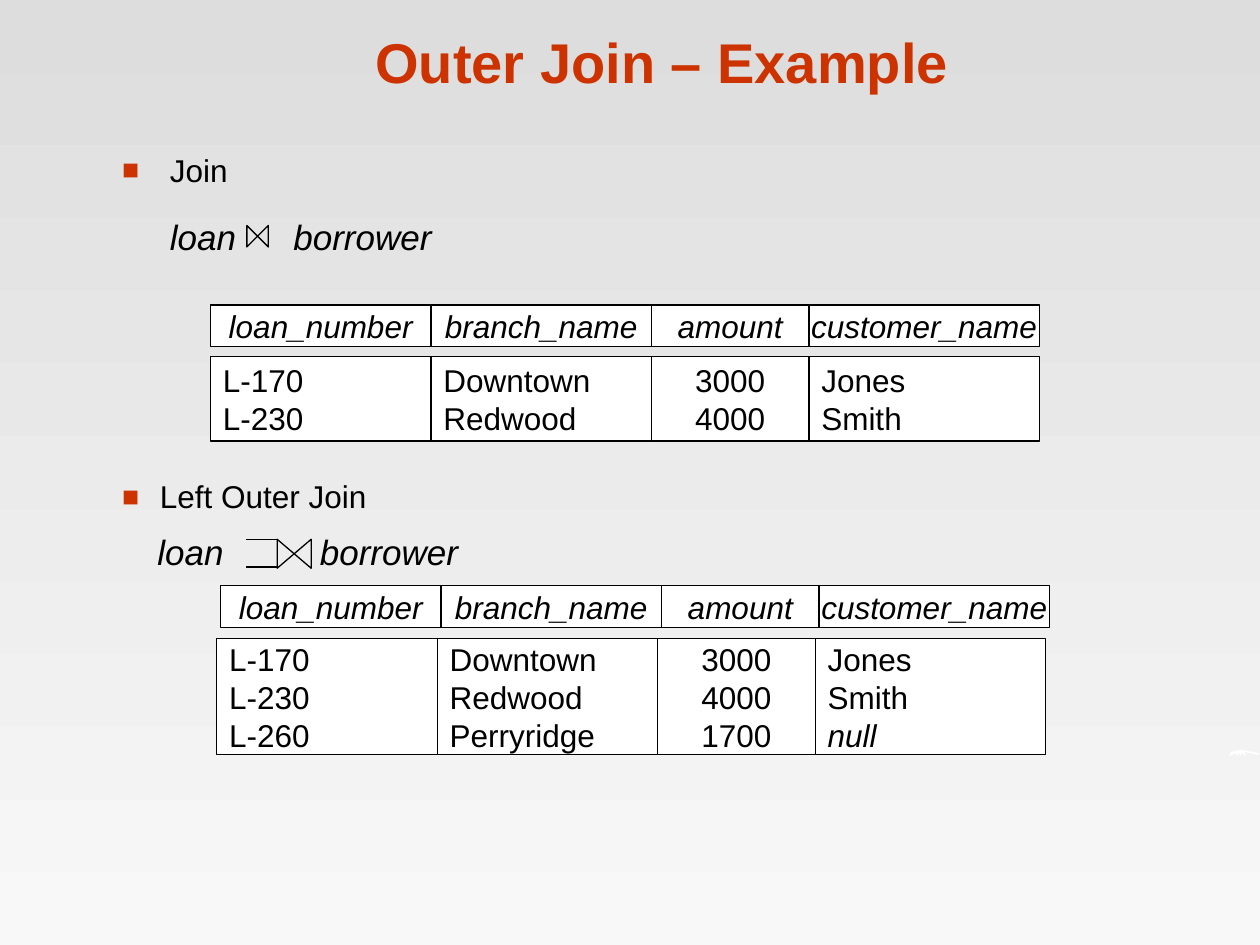
import pptx
import pptx.util
import pptx.dml.color
import pptx.enum.shapes
import pptx.enum.text
import pptx.oxml
import pptx.oxml.ns
from pptx.util import Inches

BLACK, WHITE, ACCENT = "000000", "FFFFFF", "CC3300"
LEFT = pptx.enum.text.PP_ALIGN.LEFT
CENTER = pptx.enum.text.PP_ALIGN.CENTER
MIDDLE = pptx.enum.text.MSO_ANCHOR.MIDDLE
SHAPES = pptx.enum.shapes.MSO_SHAPE
NS = pptx.oxml.ns.nsdecls("a")
HEADERS = ["loan_number", "branch_name", "amount", "customer_name"]
WIDTHS = [1.75, 1.75, 1.25, 1.83]
ALIGNS = [LEFT, LEFT, CENTER, LEFT]


def rgb(value):
    """Return a colour from a hex string."""
    return pptx.dml.color.RGBColor.from_string(value)


def add_run(p, text, size=18, color=BLACK, bold=False, italic=False):
    """Append one formatted run to a paragraph."""
    r = p.add_run()
    r.text = text
    r.font.name = "Arial"
    r.font.size = pptx.util.Pt(size)
    r.font.bold = bold
    r.font.italic = italic
    r.font.color.rgb = rgb(color)


def add_textbox(shapes, left, top, width, height):
    """Add a wrapping text box and return its text frame."""
    tf = shapes.add_textbox(Inches(left), Inches(top), Inches(width), Inches(height)).text_frame
    tf.word_wrap = True
    return tf


def set_bullet(p, hang):
    """Give a paragraph a square bullet with a hanging indent."""
    pPr = p._p.get_or_add_pPr()
    pPr.set("marL", str(Inches(hang)))
    pPr.set("indent", str(-Inches(hang)))
    for xml in (
        f'<a:buClr {NS}><a:srgbClr val="{ACCENT}"/></a:buClr>',
        f'<a:buSzPct {NS} val="90000"/>',
        f'<a:buFont {NS} typeface="Arial"/>',
        f'<a:buChar {NS} char="■"/>',
    ):
        pPr.append(pptx.oxml.parse_xml(xml))


def set_tabs(p, stops):
    """Set left tab stops on a paragraph."""
    tabs = "".join(f'<a:tab pos="{Inches(stop)}" algn="l"/>' for stop in stops)
    p._p.get_or_add_pPr().append(pptx.oxml.parse_xml(f"<a:tabLst {NS}>{tabs}</a:tabLst>"))


def add_join_text(shapes, box, label, hang, stops, gap, spacing):
    """Add a bulleted join name with its expression below."""
    tf = add_textbox(shapes, *box)
    p = tf.paragraphs[0]
    p.line_spacing = spacing
    set_bullet(p, hang)
    add_run(p, label)
    p = tf.add_paragraph()
    p.line_spacing = spacing
    p.space_before = pptx.util.Pt(gap)
    set_tabs(p, stops)
    add_run(p, "\tloan\tborrower", size=20, italic=True)


def add_bowtie(shapes, left, top, width, height):
    """Add the join symbol as an hourglass turned on its side."""
    sp = shapes.add_shape(SHAPES.FLOWCHART_COLLATE, Inches(left), Inches(top),
                          Inches(width), Inches(height))
    sp.rotation = 270
    sp.shadow.inherit = False
    sp.fill.background()
    sp.line.color.rgb = rgb(BLACK)
    sp.line.width = pptx.util.Pt(0.75)


def add_line(shapes, x1, x2, y):
    """Add a thin horizontal line."""
    cxn = shapes.add_connector(pptx.enum.shapes.MSO_CONNECTOR.STRAIGHT,
                               Inches(x1), Inches(y), Inches(x2), Inches(y))
    cxn.line.color.rgb = rgb(BLACK)
    cxn.line.width = pptx.util.Pt(0.75)
    cxn._element.spPr.append(pptx.oxml.parse_xml(f"<a:effectLst {NS}/>"))


def add_cell(shapes, box, lines, align, italics):
    """Add a bordered box with one paragraph per line."""
    sp = shapes.add_shape(SHAPES.RECTANGLE, *map(Inches, box))
    sp.shadow.inherit = False
    sp.fill.solid()
    sp.fill.fore_color.rgb = rgb(WHITE)
    sp.line.color.rgb = rgb(BLACK)
    sp.line.width = pptx.util.Pt(0.75)
    tf = sp.text_frame
    tf.word_wrap = False
    tf.vertical_anchor = MIDDLE
    for i, line in enumerate(lines):
        p = tf.add_paragraph() if i else tf.paragraphs[0]
        p.alignment = align
        add_run(p, line, italic=line in italics)


def add_relation(slide, header_at, body_at, body_height, columns):
    """Add a relation as a header row above a block of column boxes."""
    shapes = slide.shapes.add_group_shape().shapes
    for i, (header, column) in enumerate(zip(HEADERS, columns)):
        offset, width = sum(WIDTHS[:i]), WIDTHS[i]
        add_cell(shapes, (header_at[0] + offset, header_at[1], width, 0.33),
                 [header], CENTER, HEADERS)
        add_cell(shapes, (body_at[0] + offset, body_at[1], width, body_height),
                 column, ALIGNS[i], ["null"])


def add_swoosh(slide):
    """Add the small white stroke at the right edge."""
    points = [(9.75, 6.01), (9.77, 5.97), (9.8, 5.96), (9.85, 5.95), (9.9, 5.96),
              (9.95, 5.97), (10, 5.98), (9.98, 5.99), (9.93, 5.98), (9.88, 5.97),
              (9.88, 6), (9.85, 5.97), (9.85, 6), (9.82, 5.97), (9.83, 6),
              (9.8, 5.98), (9.76, 6)]
    points = [(Inches(x), Inches(y)) for x, y in points]
    builder = slide.shapes.build_freeform(*points[0])
    builder.add_line_segments(points[1:], close=True)
    sp = builder.convert_to_shape()
    sp.shadow.inherit = False
    sp.fill.solid()
    sp.fill.fore_color.rgb = rgb(WHITE)
    sp.line.fill.background()


def set_background(slide):
    """Fill the background with a vertical grey gradient."""
    fill = slide.background.fill
    fill.gradient()
    fill.gradient_angle = 270
    for stop, color in zip(fill.gradient_stops, ("DDDDDD", "F8F8F8")):
        stop.color.rgb = rgb(color)


def add_title(slide, text):
    """Add the slide title."""
    tf = add_textbox(slide.shapes, 0.84, 0.13, 8.83, 0.67)
    tf.vertical_anchor = pptx.enum.text.MSO_ANCHOR.BOTTOM
    p = tf.paragraphs[0]
    p.alignment = CENTER
    add_run(p, text, size=32, color=ACCENT, bold=True)


def main():
    """Build and save the slide."""
    prs = pptx.Presentation()
    prs.slide_width, prs.slide_height = Inches(10), Inches(7.5)
    slide = prs.slides.add_slide(prs.slide_layouts[6])
    set_background(slide)
    add_swoosh(slide)
    add_title(slide, "Outer Join – Example")

    add_join_text(slide.shapes, (0.87, 1.18, 7.65, 0.92), "Join", 0.38, (0.38, 1.36), 18, 0.9)
    add_bowtie(slide.shapes, 1.96, 1.79, 0.17, 0.17)
    add_relation(slide, (1.67, 2.42), (1.67, 2.83), 0.67, [
        ["L-170", "L-230"], ["Downtown", "Redwood"], ["3000", "4000"], ["Jones", "Smith"]])

    add_relation(slide, (1.75, 4.65), (1.72, 5.07), 0.92, [
        ["L-170", "L-230", "L-260"], ["Downtown", "Redwood", "Perryridge"],
        ["3000", "4000", "1700"], ["Jones", "Smith", "null"]])
    shapes = slide.shapes.add_group_shape().shapes
    add_join_text(shapes, (0.87, 3.74, 5.38, 0.86), "Left Outer Join", 0.3, (0.28, 1.57), 8.8, 1.0)
    add_bowtie(shapes, 2.22, 4.26, 0.23, 0.27)
    for y in (4.28, 4.5):
        add_line(shapes, 2.21, 1.95, y)

    prs.save("out.pptx")


if __name__ == "__main__":
    main()
